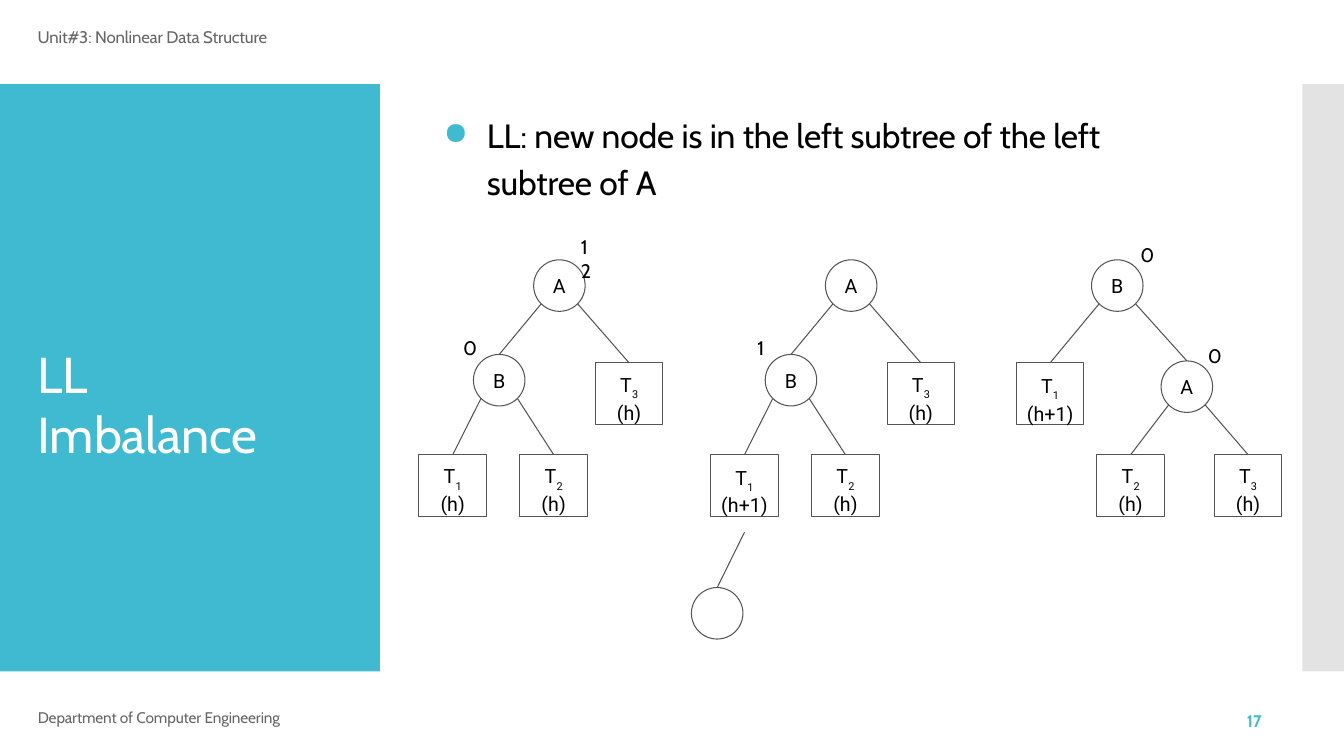
import pptx
import pptx.util
import pptx.dml.color
import pptx.enum.shapes
import pptx.enum.text
import lxml.etree

Pt = pptx.util.Pt
SHAPE = pptx.enum.shapes.MSO_SHAPE
ALIGN = pptx.enum.text.PP_ALIGN
ANCHOR = pptx.enum.text.MSO_ANCHOR
RGBColor = pptx.dml.color.RGBColor

TEAL = RGBColor(0x40, 0xBA, 0xD1)
PALE = RGBColor(0xE3, 0xE3, 0xE3)
GREY = RGBColor(0x66, 0x66, 0x66)
LINE = RGBColor(0x54, 0x54, 0x54)
WHITE = RGBColor(0xFF, 0xFF, 0xFF)
BLACK = RGBColor(0, 0, 0)
A = "{http://schemas.openxmlformats.org/drawingml/2006/main}"

CIRCLE = 36.8
BOX_W, BOX_H = 48.4, 44.2
CORNER = 13
TREE_STEP = 208.4


def write(tf, text, size=14, color=BLACK, font="Cabin", align=ALIGN.LEFT,
          spacing=None, bold=False, sub="", track=0):
    p = tf.paragraphs[0] if not tf.text else tf.add_paragraph()
    p.alignment = align
    p.line_spacing = spacing
    for part, points, baseline in ((text, size, 0), (sub, 13.5, -34000)):
        if part:
            r = p.add_run()
            r.text = part
            r.font.size = Pt(points)
            r.font.name = font
            r.font.bold = bold
            r.font.color.rgb = color
            rPr = r._r.get_or_add_rPr()
            rPr.set("spc", str(track))
            rPr.set("baseline", str(baseline))
    return p


def set_frame(sp, top=1, left=0, anchor=ANCHOR.TOP):
    tf = sp.text_frame
    tf.word_wrap = True
    tf.margin_right = tf.margin_bottom = 0
    tf.margin_top, tf.margin_left = Pt(top), Pt(left)
    tf.vertical_anchor = anchor
    return tf


prs = pptx.Presentation()
prs.slide_width, prs.slide_height = Pt(960), Pt(540)
slide = prs.slides.add_slide(prs.slide_layouts[6])
shapes = slide.shapes

for left, width, color in ((0, 271.3, TEAL), (930.3, 29.7, PALE)):
    sp = shapes.add_shape(SHAPE.RECTANGLE, Pt(left), Pt(60), Pt(width), Pt(419.5))
    sp.shadow.inherit = False
    sp.fill.solid()
    sp.fill.fore_color.rgb = color
    sp.line.fill.background()

texts = [
    ("Unit#3: Nonlinear Data Structure", 26, 18, 165.6, 17,
     dict(size=12, color=GREY, track=-10)),
    ("LL Imbalance", 26, 244, 200, 46, dict(size=36, color=WHITE, track=-10)),
    ("Department of Computer Engineering", 26, 506.5, 179, 13,
     dict(size=11, color=GREY, spacing=Pt(11.4), track=-10)),
    ("17", 889.6, 508.5, 18, 14,
     dict(size=12, color=TEAL, spacing=Pt(12.3), bold=True)),
]
for text, left, top, width, height, style in texts:
    sp = shapes.add_textbox(Pt(left), Pt(top), Pt(width), Pt(height))
    write(set_frame(sp, left=1), text, **style)

sp = shapes.add_textbox(Pt(315.4), Pt(77), Pt(545.8), Pt(68))
p = write(set_frame(sp), "LL: new node is in the left subtree of the left subtree of A",
          size=24, spacing=1.15, track=-10)
pPr = p._p.get_or_add_pPr()
pPr.set("marL", str(Pt(32.4)))
pPr.set("indent", str(-Pt(31)))
bullet_color = lxml.etree.SubElement(pPr, A + "buClr")
lxml.etree.SubElement(bullet_color, A + "srgbClr", val=str(TEAL))
lxml.etree.SubElement(pPr, A + "buSzPct", val="92000")
lxml.etree.SubElement(pPr, A + "buChar", char="●")


def left_heavy(shift, t1_height):
    return [
        ("A", "", 399.6 + shift, 185.6, None),
        ("B", "", 356.6 + shift, 253.2, 0),
        ("3", "(h)", 449.4 + shift, 259.2, 0),
        ("1", t1_height, 323.4 + shift, 324.8, 1),
        ("2", "(h)", 395.5 + shift, 324.8, 1),
    ]


trees = [
    left_heavy(0, "(h)"),
    left_heavy(TREE_STEP, "(h+1)") + [("", "", 512.3, 419.7, 3)],
    [
        ("B", "", 798.1, 185.6, None),
        ("A", "", 847.8, 257.8, 0),
        ("1", "(h+1)", 750.1, 259.2, 0),
        ("2", "(h)", 807.6, 324.8, 1),
        ("3", "(h)", 891.5, 324.8, 1),
    ],
]
for tree in trees:
    nodes = []
    for label, height, center, top, parent in tree:
        kind, w, h = (SHAPE.RECTANGLE, BOX_W, BOX_H) if height else (SHAPE.OVAL, CIRCLE, CIRCLE)
        sp = shapes.add_shape(kind, Pt(center - w / 2), Pt(top), Pt(w), Pt(h))
        sp.shadow.inherit = False
        sp.fill.background()
        sp.line.color.rgb = LINE
        sp.line.width = Pt(0.75)
        nodes.append(sp)
        if height:
            tf = set_frame(sp, top=11.2 if height == "(h+1)" else 10.4)
            style = dict(font="Roboto", align=ALIGN.CENTER, spacing=Pt(16.6))
            write(tf, "T", sub=label, track=10, **style)
            write(tf, height, **style)
        elif label:
            write(set_frame(sp, top=0, anchor=ANCHOR.MIDDLE), label,
                  font="Roboto", align=ALIGN.CENTER)
        if parent is None:
            continue
        _, parent_height, parent_center, parent_top, _ = tree[parent]
        if parent_height:
            x, y = parent_center, 380.2
        else:
            x = parent_center + (CORNER if center > parent_center else -CORNER)
            y = parent_top + CIRCLE / 2 + CORNER
        edge = shapes.add_connector(pptx.enum.shapes.MSO_CONNECTOR.STRAIGHT,
                                    Pt(x), Pt(y), Pt(center), Pt(top))
        edge.end_connect(sp, 0)
        edge.line.color.rgb = LINE
        edge.line.width = Pt(0.75)
        lxml.etree.SubElement(edge._element.spPr, A + "effectLst")

balances = [("0", 329.8, 239), ("12", 414, 167), ("1", 540, 239),
            ("0", 813.6, 172.8), ("0", 861.8, 244.8)]
for digits, left, top in balances:
    sp = shapes.add_textbox(Pt(left), Pt(top), Pt(12), Pt(18 * len(digits)))
    tf = set_frame(sp, left=1)
    for digit in digits:
        write(tf, digit)

prs.save("out.pptx")
